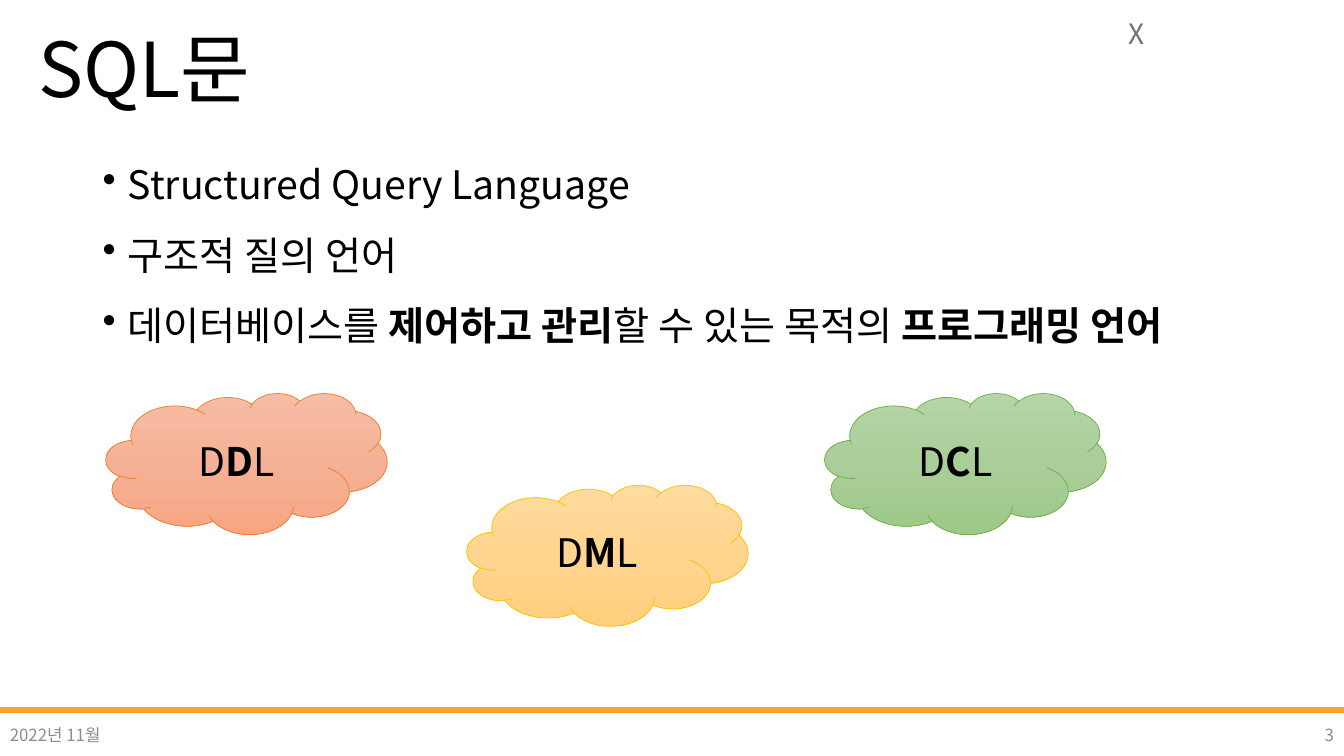
from copy import deepcopy

from lxml.etree import SubElement
from pptx import Presentation
from pptx.dml.color import RGBColor
from pptx.enum.shapes import MSO_SHAPE
from pptx.enum.text import MSO_ANCHOR, MSO_AUTO_SIZE, PP_ALIGN
from pptx.oxml.ns import qn
from pptx.util import Inches, Pt

FONT = "Noto Sans CJK KR"
COLORS = {
    "text": "000000",
    "mark": "767171",
    "footer": "8C8C8C",
    "bar": "F9A130",
    "bar_line": "F99F2C",
}
CLOUD_SIZE = (2.79, 1.4)
# Middle letter, left, top, outline, gradient from top to bottom
CLOUDS = [
    ("D", 1.05, 3.9, "ED7D31", ("F7BDA5", "F5B196", "F8A582")),
    ("C", 8.18, 3.9, "70AD47", ("B5D5A7", "AACE9A", "9CC987")),
    ("M", 4.63, 4.81, "FFC000", ("FFDB9E", "FFD590", "FFD07C")),
]
# Each bullet is a list of spans; every second span is bold
BULLETS = [
    ["Structured Query Language"],
    ["구조적 질의 언어"],
    ["데이터베이스를 ", "제어하고 관리", "할 수 있는 목적의 ", "프로그래밍 언어"],
]


def rgb(value):
    return RGBColor.from_string(value)


def write_spans(para, texts, size, color="text"):
    """Add the texts as runs, with every second one bold."""
    for index, text in enumerate(texts):
        span = para.add_run()
        span.text = text
        span.font.size = Pt(size)
        span.font.bold = index % 2 == 1
        span.font.color.rgb = rgb(COLORS[color])
        span.font.name = FONT
        SubElement(span.font._element, qn("a:ea"), typeface=FONT)


def add_label(page, area, text, size, color, align=PP_ALIGN.LEFT,
              anchor=MSO_ANCHOR.MIDDLE, wrap=True):
    box = page.shapes.add_textbox(*map(Inches, area))
    frame = box.text_frame
    frame.word_wrap = wrap
    frame.vertical_anchor = anchor
    frame.paragraphs[0].alignment = align
    write_spans(frame.paragraphs[0], [text], size, color)


def add_bar(page, deck):
    bar = page.shapes.add_shape(
        MSO_SHAPE.RECTANGLE, 0, Inches(7.02), deck.slide_width, Inches(0.05))
    bar.shadow.inherit = False
    bar.fill.solid()
    bar.fill.fore_color.rgb = rgb(COLORS["bar"])
    bar.line.color.rgb = rgb(COLORS["bar_line"])
    bar.line.width = Pt(1)


def set_title(page, text):
    title = page.shapes.title
    title.left, title.top, title.width, title.height = map(
        Inches, (0.28, 0, 11.5, 1.45))
    frame = title.text_frame
    frame.auto_size = MSO_AUTO_SIZE.NONE
    frame.vertical_anchor = MSO_ANCHOR.MIDDLE
    para = frame.paragraphs[0]
    para.alignment = PP_ALIGN.LEFT
    para.line_spacing = 0.9
    write_spans(para, [text], 54)


def add_bullets(page, bullets):
    box = page.shapes.add_textbox(*map(Inches, (0.92, 1.45, 11.5, 4.76)))
    frame = box.text_frame
    frame.word_wrap = True
    for index, texts in enumerate(bullets):
        para = frame.add_paragraph() if index else frame.paragraphs[0]
        para.line_spacing = 1.2
        para.space_before = Pt(10 if index else 0)
        properties = para._p.get_or_add_pPr()
        properties.set("marL", str(Inches(0.25)))
        properties.set("indent", str(-Inches(0.25)))
        SubElement(properties, qn("a:buChar"), char="•")
        write_spans(para, texts, 28)


def fill_gradient(shape, colors):
    """Fill from top to bottom with evenly spaced colours."""
    shape.fill.gradient()
    shape.fill.gradient_angle = 270
    stop_list = shape._element.spPr.find(".//" + qn("a:gsLst"))
    while len(stop_list) < len(colors):
        stop_list.append(deepcopy(stop_list[0]))
    for index, (stop, color) in enumerate(zip(shape.fill.gradient_stops, colors)):
        stop.position = index / (len(colors) - 1)
        stop.color.rgb = rgb(color)


def add_cloud(page, letter, left, top, outline, colors):
    cloud = page.shapes.add_shape(
        MSO_SHAPE.CLOUD, *map(Inches, (left, top, *CLOUD_SIZE)))
    cloud.shadow.inherit = False
    fill_gradient(cloud, colors)
    cloud.line.color.rgb = rgb(outline)
    cloud.line.width = Pt(0.5)
    frame = cloud.text_frame
    frame.vertical_anchor = MSO_ANCHOR.MIDDLE
    frame.paragraphs[0].alignment = PP_ALIGN.CENTER
    write_spans(frame.paragraphs[0], ["D", letter, "L"], 28)


def main():
    deck = Presentation()
    deck.slide_width, deck.slide_height = Inches(13.33), Inches(7.5)
    page = deck.slides.add_slide(deck.slide_layouts[5])
    add_bar(page, deck)
    add_label(page, (11.09, 0.11, 0.38, 0.44), "X", 20, "mark",
              anchor=MSO_ANCHOR.TOP, wrap=False)
    set_title(page, "SQL문")
    add_label(page, (0, 7.09, 3, 0.4), "2022년 11월", 12, "footer")
    add_label(page, (10.33, 7.09, 3, 0.4), "3", 12, "footer", PP_ALIGN.RIGHT)
    add_bullets(page, BULLETS)
    for cloud in CLOUDS:
        add_cloud(page, *cloud)
    deck.save("out.pptx")


if __name__ == "__main__":
    main()
